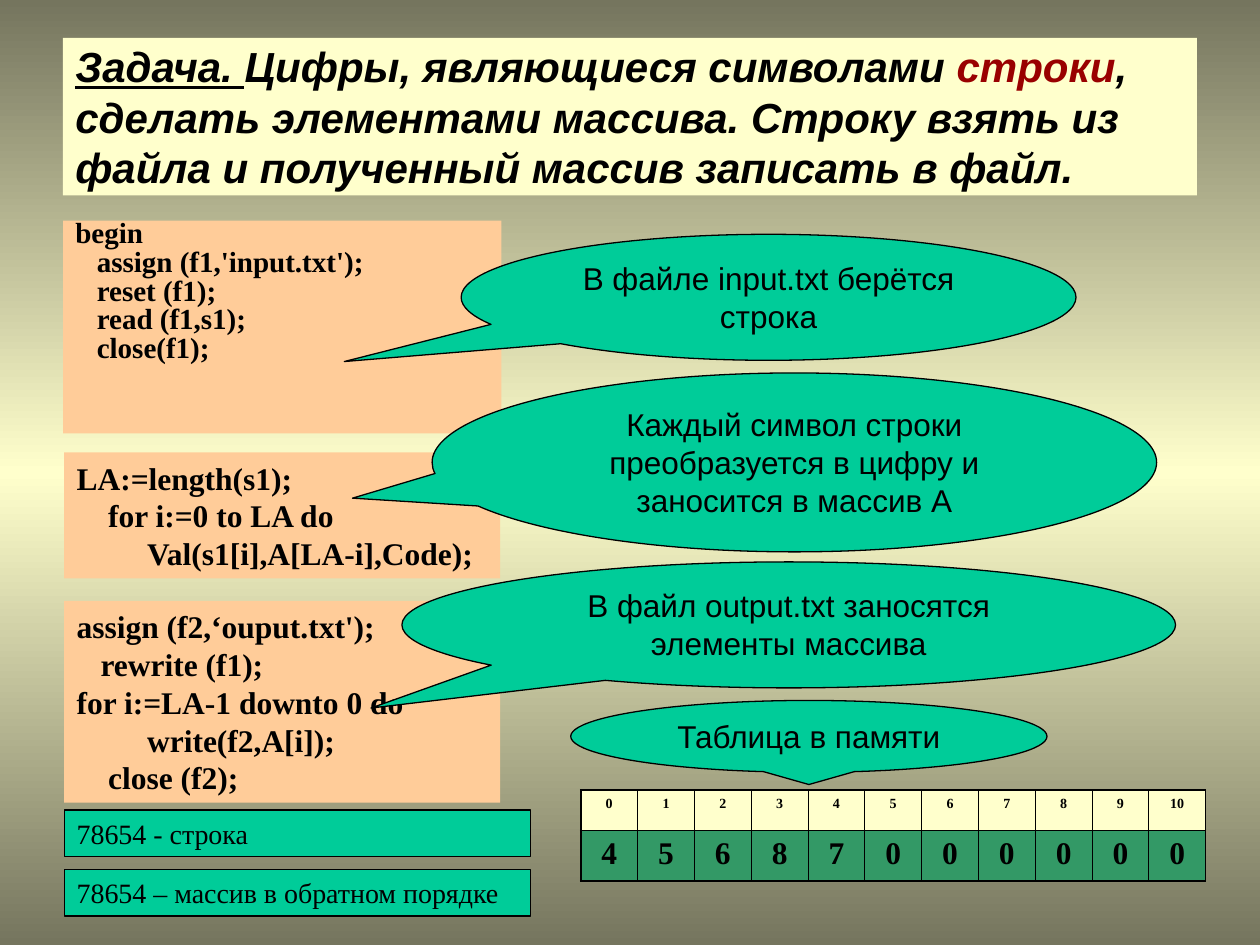
from copy import deepcopy
from lxml import etree
from pptx import Presentation
from pptx.dml.color import RGBColor
from pptx.enum.shapes import MSO_SHAPE
from pptx.enum.text import MSO_ANCHOR, MSO_AUTO_SIZE, PP_ALIGN
from pptx.oxml.ns import qn
from pptx.util import Inches, Pt

RECTANGLE = MSO_SHAPE.RECTANGLE
CALLOUT = MSO_SHAPE.OVAL_CALLOUT
TOP, MIDDLE = MSO_ANCHOR.TOP, MSO_ANCHOR.MIDDLE
LEFT, CENTER = PP_ALIGN.LEFT, PP_ALIGN.CENTER
GROW, FIXED = MSO_AUTO_SIZE.SHAPE_TO_FIT_TEXT, MSO_AUTO_SIZE.NONE
SANS, SERIF = "Arial", "Times New Roman"
BLACK, CREAM, PEACH, TEAL = "000000", "FFFFCC", "FFCC99", "00CC99"
GREEN, OLIVE, RED = "339966", "75755E", "990000"
CODE_FONT = {"name": SERIF, "size": Pt(18), "bold": True}
CALLOUT_FONT = {"name": SANS, "size": Pt(18)}
RESULT_FONT = {"name": SERIF, "size": Pt(16)}
TITLE_FONT = {"name": SANS, "size": Pt(24), "bold": True, "italic": True}


def rgb(color):
    return RGBColor.from_string(color)


def apply(target, values):
    for name, value in values.items():
        setattr(target, name, value)


def set_background(slide):
    fill = slide.background.fill
    fill.gradient()
    fill.gradient_angle = 90
    stop_list = slide.element.find(".//" + qn("a:gsLst"))
    stop_list.append(deepcopy(stop_list[0]))
    for stop, position, color in zip(fill.gradient_stops, (0, 0.5, 1), (OLIVE, CREAM, OLIVE)):
        stop.color.rgb = rgb(color)
        stop.position = position


def add_run(paragraph, text, font, color=BLACK):
    run = paragraph.add_run()
    run.text = text
    apply(run.font, font)
    run.font.color.rgb = rgb(color)


def add_panel(slide, kind, box, color, outlined=False, anchor=TOP, auto_size=GROW):
    shape = slide.shapes.add_shape(kind, *map(Inches, box))
    shape.shadow.inherit = False
    shape.fill.solid()
    shape.fill.fore_color.rgb = rgb(color)
    if outlined:
        shape.line.color.rgb = rgb(BLACK)
        shape.line.width = Pt(0.74)
    else:
        shape.line.fill.background()
    apply(shape.text_frame, {"word_wrap": True, "vertical_anchor": anchor, "auto_size": auto_size})
    return shape


def add_title(slide):
    shape = add_panel(slide, RECTANGLE, (0.5, 0.3, 9, 1.25), CREAM, anchor=MIDDLE, auto_size=FIXED)
    paragraph = shape.text_frame.paragraphs[0]
    paragraph.alignment = LEFT
    add_run(paragraph, "Задача. ", {**TITLE_FONT, "underline": True})
    add_run(paragraph, "Цифры, являющиеся символами ", TITLE_FONT)
    add_run(paragraph, "строки", TITLE_FONT, RED)
    add_run(paragraph, ", сделать элементами массива. Строку взять из файла "
            "и полученный массив записать в файл.", TITLE_FONT)


def add_code(slide, box, lines, font=CODE_FONT, spacing=None, auto_size=GROW):
    frame = add_panel(slide, RECTANGLE, box, PEACH, auto_size=auto_size).text_frame
    for index, (indent, text) in enumerate(lines):
        paragraph = frame.add_paragraph() if index else frame.paragraphs[0]
        apply(paragraph, {"alignment": LEFT, **(spacing or {})})
        paragraph._p.get_or_add_pPr().set("marL", str(Inches(indent)))
        add_run(paragraph, text, font)


def add_note(slide, kind, box, text, font, alignment, space, pointer=()):
    shape = add_panel(slide, kind, box, TEAL, outlined=True)
    for index, value in enumerate(pointer):
        shape.adjustments[index] = value
    paragraph = shape.text_frame.paragraphs[0]
    apply(paragraph, {"alignment": alignment, "space_before": Pt(space)})
    add_run(paragraph, text, font)


def set_borders(cell, widths):
    properties = cell._tc.get_or_add_tcPr()
    for index, (side, width) in enumerate(widths.items()):
        line = etree.Element(qn("a:" + side), w=str(Pt(width)))
        fill = etree.SubElement(line, qn("a:solidFill"))
        etree.SubElement(fill, qn("a:srgbClr"), val=BLACK)
        properties.insert(index, line)


def add_memory_table(slide):
    rows = (
        (range(11), 0.32, CREAM, 8, 2),
        ((4, 5, 6, 8, 7, 0, 0, 0, 0, 0, 0), 0.4, GREEN, 18, 4.5),
    )
    box = map(Inches, (4.61, 6.27, 4.96, 0.72))
    table = slide.shapes.add_table(2, 11, *box).table
    for column in table.columns:
        column.width = Inches(4.96 / 11)
    for row, (values, height, color, size, space) in enumerate(rows):
        table.rows[row].height = Inches(height)
        for column, value in enumerate(values):
            cell = table.cell(row, column)
            cell.fill.solid()
            cell.fill.fore_color.rgb = rgb(color)
            paragraph = cell.text_frame.paragraphs[0]
            apply(paragraph, {"alignment": CENTER, "space_before": Pt(space)})
            add_run(paragraph, str(value), {"name": SERIF, "size": Pt(size), "bold": True})
            outer = {"lnL": column == 0, "lnR": column == 10, "lnT": row == 0, "lnB": row == 1}
            set_borders(cell, {side: 1.08 if edge else 0.45 for side, edge in outer.items()})


def main():
    presentation = Presentation()
    presentation.slide_width, presentation.slide_height = Inches(10), Inches(7.5)
    slide = presentation.slides.add_slide(presentation.slide_layouts[6])
    set_background(slide)
    add_title(slide)
    add_code(slide, (0.5, 1.75, 3.48, 1.69), (
        (0, "begin"), (0.17, "assign (f1,'input.txt');"), (0.17, "reset (f1);"),
        (0.17, "read (f1,s1);"), (0.17, "close(f1);"),
    ), {**CODE_FONT, "size": Pt(16.6)}, {"line_spacing": 0.6, "space_before": Pt(4.5)}, FIXED)
    add_code(slide, (0.51, 3.59, 3.46, 1), (
        (0, "LA:=length(s1);"), (0.25, "for i:=0 to LA do"),
        (0.56, "Val(s1[i],A[LA-i],Code);"),
    ))
    add_code(slide, (0.51, 4.77, 3.46, 1.6), (
        (0, "assign (f2,‘ouput.txt');"), (0.19, "rewrite (f1);"),
        (0, "for i:=LA-1 downto 0 do"), (0.56, "write(f2,A[i]);"), (0.25, "close (f2);"),
    ))
    for top, text in ((6.43, "78654 - строка"), (6.9, "78654 – массив в обратном порядке")):
        add_note(slide, RECTANGLE, (0.51, top, 3.7, 0.37), text, RESULT_FONT, LEFT, 10)
    add_memory_table(slide)
    callouts = (
        ((3.66, 1.86, 4.88, 1), (-0.69, 0.51), "В файле input.txt берётся строка"),
        ((3.43, 2.96, 5.75, 1.42), (-0.61, 0.2),
         "Каждый символ строки преобразуется в цифру и заносится в массив А"),
        ((3.19, 4.46, 6.14, 1), (-0.54, 0.66), "В файл output.txt заносятся элементы массива"),
        ((4.53, 5.56, 3.78, 0.57), (0, 0.67), "Таблица в памяти"),
    )
    for box, pointer, text in callouts:
        add_note(slide, CALLOUT, box, text, CALLOUT_FONT, CENTER, 11.2, pointer)
    presentation.save("out.pptx")


main()
